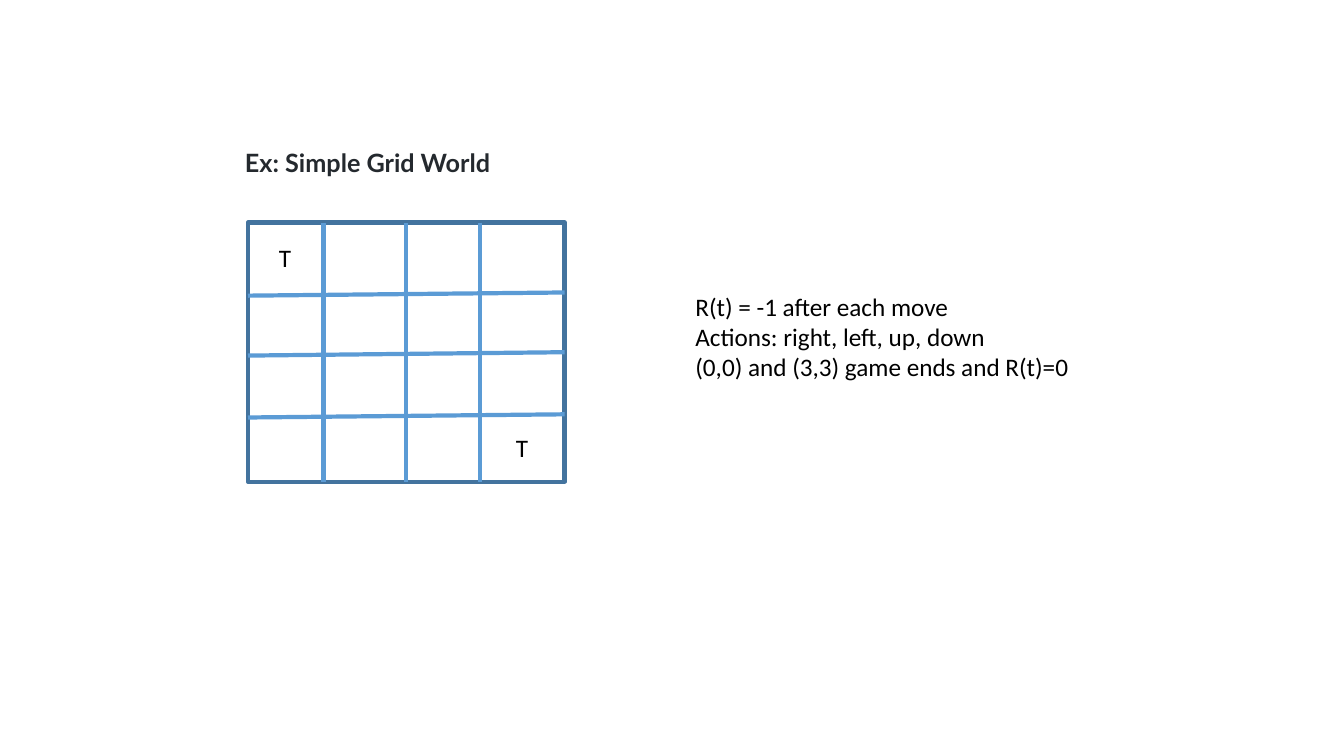
"""Build the Simple Grid World slide."""
from dataclasses import dataclass
from typing import Any

import lxml.etree
import pptx
import pptx.dml.color
import pptx.enum.shapes
import pptx.enum.text
import pptx.oxml.ns
import pptx.util

Cm = pptx.util.Cm
RGB = pptx.dml.color.RGBColor


@dataclass(frozen=True)
class Theme:
    background: RGB = RGB(0xFF, 0xFF, 0xFF)
    border: RGB = RGB(0x43, 0x73, 0x9E)
    grid: RGB = RGB(0x5B, 0x9B, 0xD5)
    ink: RGB = RGB(0, 0, 0)
    heading: RGB = RGB(0x24, 0x29, 0x2E)
    font: str = "Calibri"
    heading_font: str = "Lato"
    size: int = 18
    line_width: int = 3


@dataclass(frozen=True)
class Box:
    left: float
    top: float
    width: float
    height: float

    @property
    def right(self) -> float:
        return self.left + self.width

    @property
    def bottom(self) -> float:
        return self.top + self.height


@dataclass(frozen=True)
class Terminal:
    text: str
    box: Box


@dataclass(frozen=True)
class GridLine:
    x1: float
    y1: float
    x2: float
    y2: float
    begin_site: int | None = None
    end_site: int | None = None


THEME = Theme()
GRID = Box(6.25, 5.61, 7.98, 6.53)
ROW_TILT = 0.08
TITLE_BOX = Box(5.92, 3.58, 7.26, 1.02)
RULES_BOX = Box(17.27, 7.21, 10.03, 2.57)
RULES = ["R(t) = -1 after each move",
         "Actions: right, left, up, down",
         "(0,0) and (3,3) game ends and R(t)=0"]
TERMINALS = [Terminal("T", Box(6.78, 5.99, 0.81, 1.02)),
             Terminal("T", Box(12.75, 10.77, 0.81, 1.02))]
COLUMNS = [GridLine(x, GRID.top, x, GRID.bottom, *sites)
           for x, sites in [(8.15, ()), (10.24, (0, 2)), (12.09, ())]]
ROWS = [GridLine(GRID.right, y, GRID.left, y + ROW_TILT, *sites)
        for y, sites in [(7.37, ()), (8.88, (3,)), (10.44, ())]]


def place(sp: Any, box: Box) -> None:
    """Move and size a shape."""
    sp.left, sp.top = Cm(box.left), Cm(box.top)
    sp.width, sp.height = Cm(box.width), Cm(box.height)


def write_text(sp: Any, text: str, font: str, color: RGB, bold: bool = False) -> None:
    """Fill a shape with plain left-aligned paragraphs."""
    tf = sp.text_frame
    tf.text = text
    tf.word_wrap = True
    tf.auto_size = pptx.enum.text.MSO_AUTO_SIZE.SHAPE_TO_FIT_TEXT
    tf.vertical_anchor = pptx.enum.text.MSO_ANCHOR.TOP
    for p in tf.paragraphs:
        p.alignment = pptx.enum.text.PP_ALIGN.LEFT
        p.space_before = pptx.util.Pt(0)
        for r in p.runs:
            r.font.name = font
            r.font.size = pptx.util.Pt(THEME.size)
            r.font.bold = bold
            r.font.color.rgb = color


def remove_bullets(sp: Any) -> None:
    """Clear the bullet and indent of each paragraph."""
    for p in sp.text_frame.paragraphs:
        ppr = p._p.get_or_add_pPr()
        ppr.set("marL", "0")
        ppr.set("indent", "0")
        lxml.etree.SubElement(ppr, pptx.oxml.ns.qn("a:buNone"))


def style_line(sp: Any, color: RGB) -> None:
    """Set the colour and width of an outline."""
    sp.line.color.rgb = color
    sp.line.width = pptx.util.Pt(THEME.line_width)


def draw_frame(slide: Any) -> Any:
    """Draw the outer border of the grid."""
    sp = slide.shapes.add_shape(
        pptx.enum.shapes.MSO_SHAPE.RECTANGLE,
        Cm(GRID.left), Cm(GRID.top), Cm(GRID.width), Cm(GRID.height))
    sp.shadow.inherit = False
    sp.fill.background()
    style_line(sp, THEME.border)
    return sp


def draw_grid_line(slide: Any, frame: Any, line: GridLine) -> None:
    """Draw one grid line, joined to the frame where it has a site."""
    cxn = slide.shapes.add_connector(
        pptx.enum.shapes.MSO_CONNECTOR.STRAIGHT,
        Cm(line.x1), Cm(line.y1), Cm(line.x2), Cm(line.y2))
    if line.begin_site is not None:
        cxn.begin_connect(frame, line.begin_site)
    if line.end_site is not None:
        cxn.end_connect(frame, line.end_site)
    style_line(cxn, THEME.grid)
    lxml.etree.SubElement(cxn._element.spPr, pptx.oxml.ns.qn("a:effectLst"))


def draw_terminal(slide: Any, terminal: Terminal) -> None:
    """Label a terminal cell."""
    b = terminal.box
    sp = slide.shapes.add_textbox(Cm(b.left), Cm(b.top), Cm(b.width), Cm(b.height))
    write_text(sp, terminal.text, THEME.font, THEME.ink)


def main() -> None:
    """Build and save the presentation."""
    prs = pptx.Presentation()
    prs.slide_width, prs.slide_height = Cm(33.87), Cm(19.05)
    slide = prs.slides.add_slide(prs.slide_layouts[1])
    slide.background.fill.solid()
    slide.background.fill.fore_color.rgb = THEME.background

    title, rules = slide.shapes.title, slide.placeholders[1]
    place(title, TITLE_BOX)
    write_text(title, "Ex: Simple Grid World", THEME.heading_font, THEME.heading, bold=True)
    place(rules, RULES_BOX)
    write_text(rules, "\n".join(RULES), THEME.font, THEME.ink)
    remove_bullets(rules)

    frame = draw_frame(slide)
    for line in COLUMNS + ROWS:
        draw_grid_line(slide, frame, line)
    for terminal in TERMINALS:
        draw_terminal(slide, terminal)
    prs.save("out.pptx")


if __name__ == "__main__":
    main()
